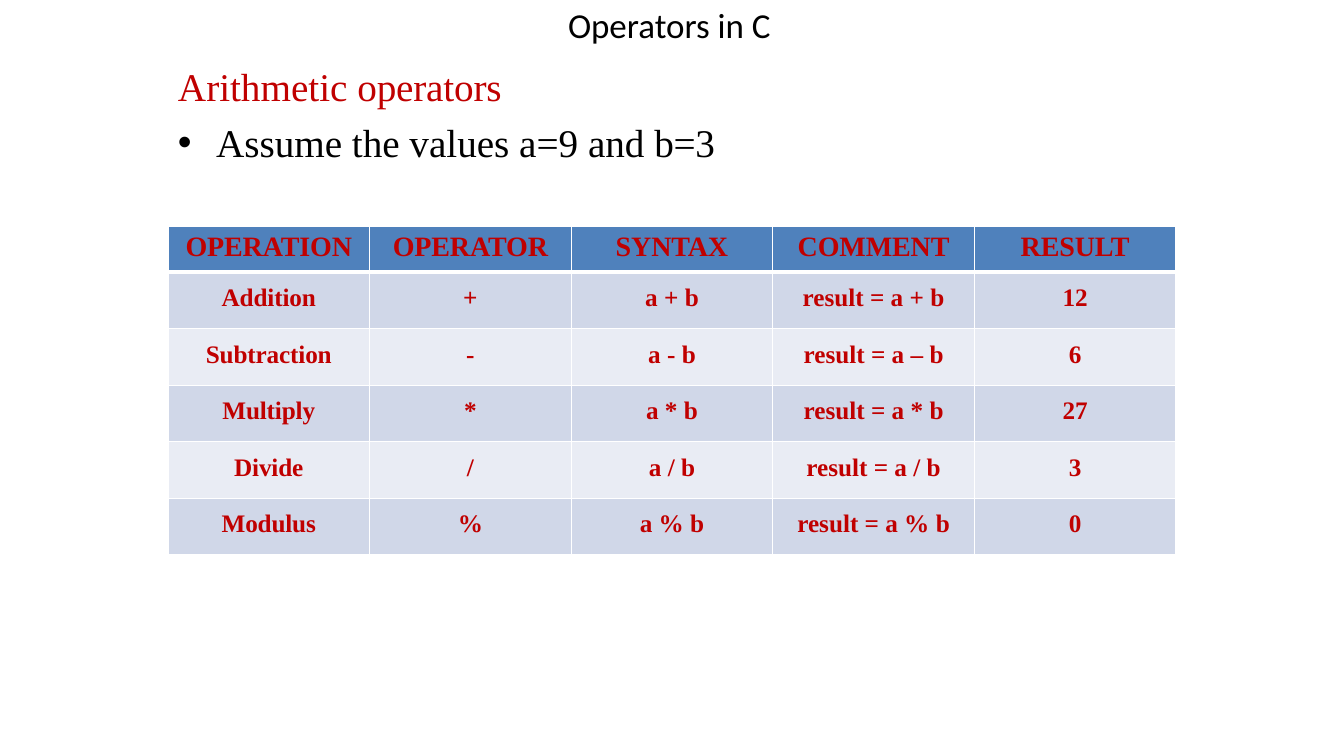
from pptx import Presentation
from pptx.dml.color import RGBColor
from pptx.enum.text import MSO_ANCHOR, MSO_AUTO_SIZE, PP_ALIGN
from pptx.oxml import parse_xml
from pptx.oxml.ns import nsdecls
from pptx.util import Pt

TITLE = [("Operators in ", 0), ("C", -50)]
HEADING = [("Arithmetic ", 0), ("operators", -10)]
ASSUMPTION = [("Assume the values a=9 and ", 0), ("b=3", -20)]
HEADER = ["OPERATION", "OPERATOR", "SYNTAX", "COMMENT", "RESULT"]
OPERATIONS = [
    ("Addition", "+", "a + b", "result = a + b", "12"),
    ("Subtraction", "-", "a - b", "result = a – b", "6"),
    ("Multiply", "*", "a * b", "result = a * b", "27"),
    ("Divide", "/", "a / b", "result = a / b", "3"),
    ("Modulus", "%", "a % b", "result = a % b", "0"),
]

BLACK = RGBColor(0x00, 0x00, 0x00)
RED = RGBColor(0xC0, 0x00, 0x00)
WHITE = RGBColor(0xFF, 0xFF, 0xFF)
BLUE = RGBColor(0x4F, 0x81, 0xBC)
BANDS = [RGBColor(0xD0, 0xD7, 0xE8), RGBColor(0xE9, 0xEC, 0xF4)]
SERIF = "Times New Roman"
SCALE = 914400 / 100.8


def px(n):
    return round(n * SCALE)


def add_runs(p, runs, size, color, font=SERIF, bold=False):
    for text, spacing in runs:
        r = p.add_run()
        r.text = text
        r.font.size = Pt(size)
        r.font.name = font
        r.font.bold = bold
        r.font.color.rgb = color
        if spacing:
            r._r.get_or_add_rPr().set("spc", str(spacing))


def place(s, left, top, width, height, inset, anchor):
    s.left, s.top, s.width, s.height = map(px, (left, top, width, height))
    tf = s.text_frame
    tf.auto_size = MSO_AUTO_SIZE.NONE
    tf.word_wrap = True
    tf.vertical_anchor = anchor
    tf.margin_left = tf.margin_right = tf.margin_bottom = 0
    tf.margin_top = px(inset)
    return tf


def set_bullet(p, xml, left, indent):
    pPr = p._p.get_or_add_pPr()
    pPr.set("marL", str(px(left)))
    pPr.set("indent", str(px(indent)))
    pPr.append(parse_xml(xml))


def set_border(cell, side, width):
    cell._tc.get_or_add_tcPr().append(parse_xml(
        f'<a:{side} {nsdecls("a")} w="{Pt(width)}"><a:solidFill>'
        f'<a:srgbClr val="{WHITE}"/></a:solidFill></a:{side}>'))


def cell_runs(text, row, col):
    if row and col in (2, 3):
        return [(text[:-1], 0), (text[-1], -50)]
    if row == 0 or col == 0:
        return [(text, -10)]
    return [(text, -20 if len(text) > 1 else 0)]


def fill_cell(cell, text, row, col):
    cell.margin_left = cell.margin_right = cell.margin_bottom = 0
    cell.margin_top = px(12 if row else 5)
    for side in ("lnL", "lnR", "lnT", "lnB"):
        heavy = (row, side) in ((0, "lnB"), (1, "lnT"))
        set_border(cell, side, 3 if heavy else 1)
    cell.fill.solid()
    cell.fill.fore_color.rgb = BANDS[(row - 1) % 2] if row else BLUE
    p = cell.text_frame.paragraphs[0]
    p.alignment = PP_ALIGN.CENTER
    add_runs(p, cell_runs(text, row, col), 18 if row else 20, RED, bold=True)


def main():
    prs = Presentation()
    prs.slide_width, prs.slide_height = px(1344), px(756)
    slide = prs.slides.add_slide(prs.slide_layouts[1])
    title, body = slide.placeholders

    tf = place(title, 568, 2, 209, 44, 1, MSO_ANCHOR.MIDDLE)
    p = tf.paragraphs[0]
    p.alignment = PP_ALIGN.LEFT
    add_runs(p, TITLE, 25, BLACK, "Calibri")

    tf = place(body, 177, 51, 539, 116, 11, MSO_ANCHOR.TOP)
    p = tf.paragraphs[0]
    set_bullet(p, f'<a:buNone {nsdecls("a")}/>', 1, 0)
    p.space_before = Pt(0)
    add_runs(p, HEADING, 28, RED)
    p = tf.add_paragraph()
    set_bullet(p, f'<a:buChar {nsdecls("a")} char="•"/>', 39, -38)
    p.space_before = Pt(6.7)
    add_runs(p, ASSUMPTION, 28, BLACK)

    rows = [HEADER] + OPERATIONS
    s = slide.shapes.add_table(len(rows), len(HEADER), px(168), px(226), px(1008), px(329))
    table = s.table
    for column in table.columns:
        column.width = px(1008) // len(HEADER)
    for i, texts in enumerate(rows):
        table.rows[i].height = px(283) // len(OPERATIONS) if i else px(46)
        for j, text in enumerate(texts):
            fill_cell(table.cell(i, j), text, i, j)

    prs.save("out.pptx")


if __name__ == "__main__":
    main()
